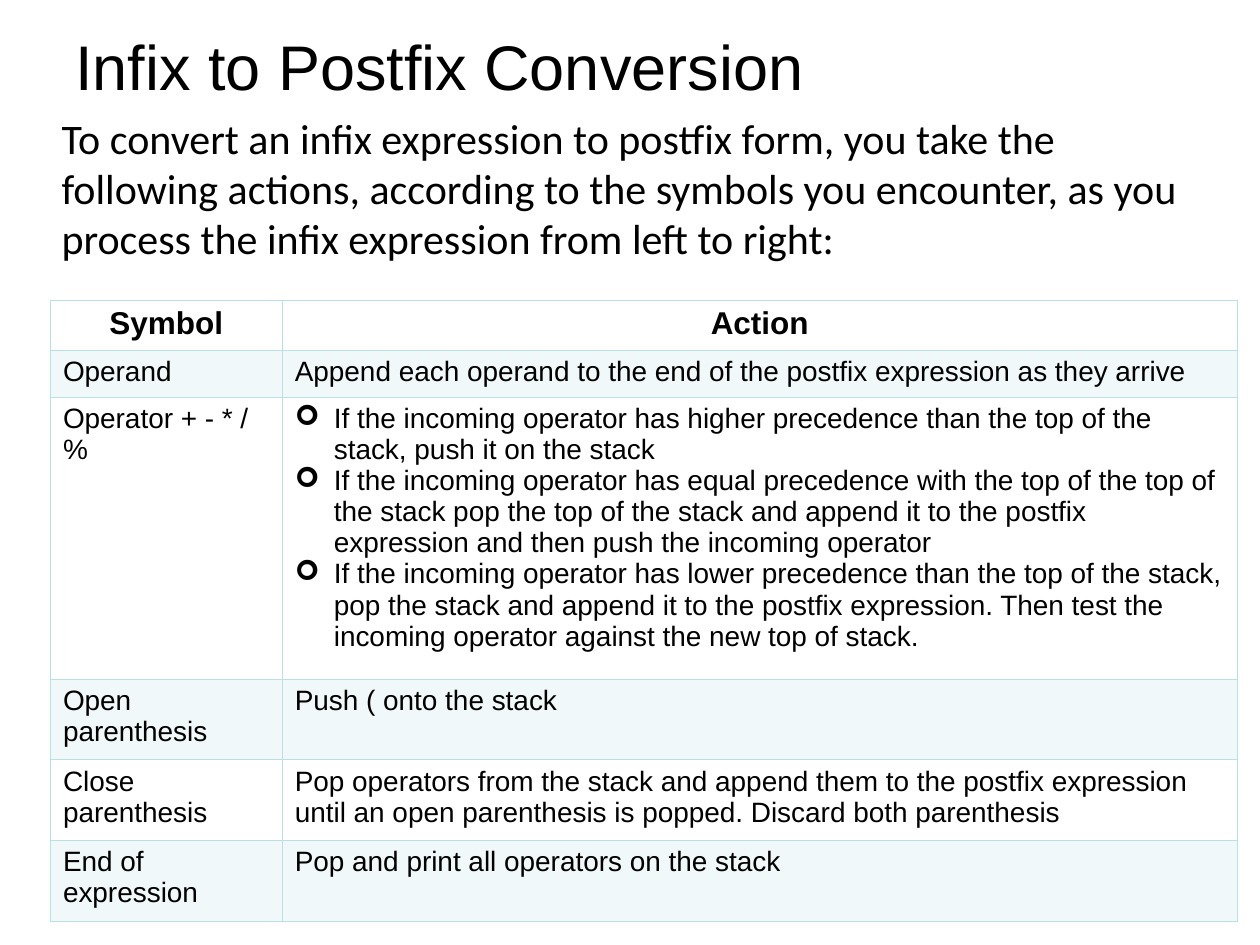
from dataclasses import dataclass

from lxml import etree
from pptx import Presentation
from pptx.dml.color import RGBColor
from pptx.enum.text import MSO_ANCHOR, PP_ALIGN
from pptx.oxml.ns import qn
from pptx.util import Inches, Pt

CENTER, LEFT = PP_ALIGN.CENTER, PP_ALIGN.LEFT
MIDDLE, TOP = MSO_ANCHOR.MIDDLE, MSO_ANCHOR.TOP


@dataclass(frozen=True)
class Theme:
    ink: str = "000000"
    tint: str = "BBE0E3"
    alpha: int = 20
    sans: str = "Arial"
    body: str = "Calibri"
    title: int = 36
    intro: int = 24
    head: int = 18
    cell: int = 16
    thin: float = 0.45
    thick: float = 0.96


THEME = Theme()
COLS = [1.84, 7.58]
HEIGHTS = [0.4, 0.37, 2.24, 0.64, 0.64, 0.64]
INDENT = 0.31
INTRO = (
    "To convert an infix expression to postfix form, you take the following "
    "actions, according to the symbols you encounter, as you process the "
    "infix expression from left to right:"
)
RULES = [
    "If the incoming operator has higher precedence than the top of the "
    "stack, push it on the stack",
    "If the incoming operator has equal precedence with the top of the top "
    "of the stack pop the top of the stack and append it to the postfix "
    "expression and then push the incoming operator",
    "If the incoming operator has lower precedence than the top of the "
    "stack, pop the stack and append it to the postfix expression. Then test "
    "the incoming operator against the new top of stack.",
]
ROWS = [
    ("Symbol", "Action"),
    ("Operand", "Append each operand to the end of the postfix expression "
     "as they arrive"),
    ("Operator + - * / %", RULES),
    ("Open parenthesis", "Push ( onto the stack"),
    ("Close parenthesis", "Pop operators from the stack and append them to "
     "the postfix expression until an open parenthesis is popped. "
     "Discard both parenthesis"),
    ("End of expression", "Pop and print all operators on the stack"),
]


def set_font(para, name, size, bold=False):
    font = para.font
    font.name, font.size, font.bold = name, Pt(size), bold
    font.color.rgb = RGBColor.from_string(THEME.ink)


def add_text(slide, box, text, name, size, anchor=TOP):
    frame = slide.shapes.add_textbox(*map(Inches, box)).text_frame
    frame.word_wrap = True
    frame.vertical_anchor = anchor
    para = frame.paragraphs[0]
    para.text = text
    set_font(para, name, size)


def add_bullet(para):
    props = para._p.get_or_add_pPr()
    props.set("marL", str(Inches(INDENT)))
    props.set("indent", str(-Inches(INDENT)))
    etree.SubElement(props, qn("a:buFont"), typeface="Wingdings")
    etree.SubElement(props, qn("a:buChar"), char="➢")


def add_color(parent, alpha=None):
    solid = etree.SubElement(parent, qn("a:solidFill"))
    color = etree.SubElement(solid, qn("a:srgbClr"), val=THEME.tint)
    if alpha:
        etree.SubElement(color, qn("a:alpha"), val=str(alpha * 1000))


def style_cell(cell, row):
    """Draw the four borders, then tint every odd row."""
    props = cell._tc.get_or_add_tcPr()
    heavy = {0: "B", 1: "T"}.get(row)
    for side in "LRTB":
        width = THEME.thick if side == heavy else THEME.thin
        line = etree.SubElement(props, qn(f"a:ln{side}"), w=str(Pt(width)))
        add_color(line)
    if row % 2:
        add_color(props, THEME.alpha)
    else:
        cell.fill.background()


def fill_cell(cell, content, head):
    listed = isinstance(content, list)
    frame = cell.text_frame
    frame.text = "\n".join(content) if listed else content
    for para in frame.paragraphs:
        para.alignment = CENTER if head else LEFT
        if listed:
            add_bullet(para)
        set_font(para, THEME.sans, THEME.head if head else THEME.cell, head)


def add_grid(slide, left, top):
    size = (left, top, sum(COLS), sum(HEIGHTS))
    table = slide.shapes.add_table(
        len(ROWS), len(COLS), *map(Inches, size)).table
    for col, width in zip(table.columns, COLS):
        col.width = Inches(width)
    for r, (row, height) in enumerate(zip(table.rows, HEIGHTS)):
        row.height = Inches(height)
        for cell, content in zip(row.cells, ROWS[r]):
            fill_cell(cell, content, r == 0)
            style_cell(cell, r)


def main():
    deck = Presentation()
    deck.slide_width, deck.slide_height = Inches(10), Inches(7.5)
    slide = deck.slides.add_slide(deck.slide_layouts[6])
    add_text(slide, (0.5, 0.11, 9, 0.82), "Infix to Postfix Conversion",
             THEME.sans, THEME.title, MIDDLE)
    add_grid(slide, 0.4, 2.38)
    add_text(slide, (0.39, 0.84, 9.23, 1.3), INTRO, THEME.body, THEME.intro)
    deck.save("out.pptx")


if __name__ == "__main__":
    main()
